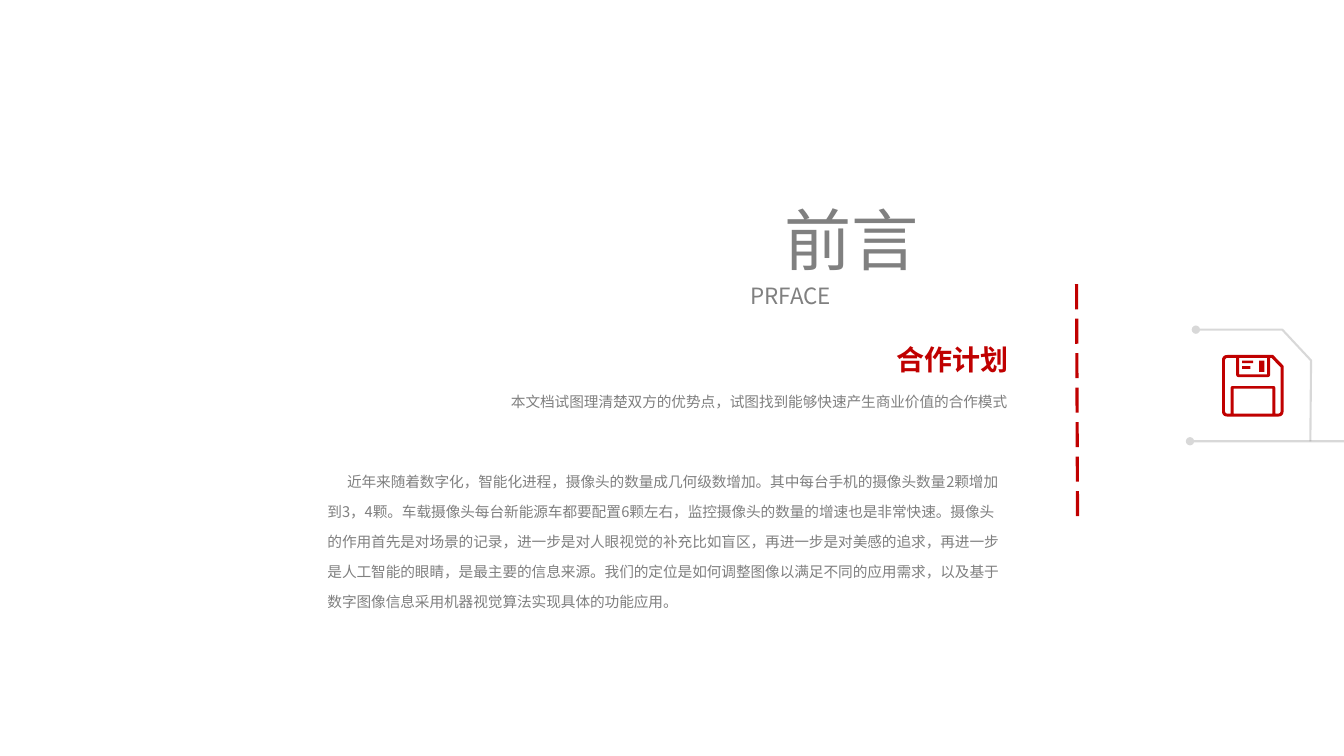
from lxml.etree import SubElement
from pptx import Presentation
from pptx.dml.color import RGBColor
from pptx.enum.dml import MSO_LINE
from pptx.enum.shapes import MSO_CONNECTOR
from pptx.enum.text import MSO_AUTO_SIZE, PP_ALIGN as Align
from pptx.oxml.ns import qn
from pptx.util import Pt

FONT = "Noto Sans CJK SC"
COLORS = {"red": "C00000", "gray": "808080"}

TEXTS = [
    {"text": "本文档试图理清楚双方的优势点，试图找到能够快速产生商业价值的合作模式",
     "at": (257, 273, 470, 24), "size": 10.5, "align": Align.RIGHT, "spacing": 1.3},
    {"text": "合作计划", "at": (633, 229, 94.5, 43), "size": 20, "color": "red",
     "bold": True, "spacing": 1.5, "after": 6, "wrap": False},
    {"text": "近年来随着数字化，智能化进程，摄像头的数量成几何级数增加。"
             "其中每台手机的摄像头数量2颗增加到3，4颗。"
             "车载摄像头每台新能源车都要配置6颗左右，监控摄像头的数量的增速也是非常快速。"
             "摄像头的作用首先是对场景的记录，进一步是对人眼视觉的补充比如盲区，"
             "再进一步是对美感的追求，再进一步是人工智能的眼睛，是最主要的信息来源。"
             "我们的定位是如何调整图像以满足不同的应用需求，"
             "以及基于数字图像信息采用机器视觉算法实现具体的功能应用。",
     "at": (226.8, 325.5, 500.4, 115), "size": 10.5, "spacing": 1.7, "after": 6, "indent": 14},
    {"text": "前言", "at": (553, 138, 174, 65.5), "size": 48, "align": Align.JUSTIFY},
    {"text": "PRFACE", "at": (529, 198, 198, 26.6), "size": 16, "align": Align.JUSTIFY},
]

DIVIDER = [(769, 203), (769.7, 374.4)]
BASELINE = [(850, 315.2), (960, 315.2)]
BRACKET = [(854.2, 235.5), (916, 235.5), (936.5, 257.5), (936, 315.2)]

DISK_ORIGIN = (872.9, 253.6)
DISK_OUTLINES = [
    [(0, 0, 4), (36.5, 0, 0), (44, 7.8, 0), (44, 44, 4), (0, 44, 4)],
    [(2.1, 2.1, 2), (10.1, 2.1, 0), (10.1, 15.8, 2), (34.4, 15.8, 2), (34.4, 2.1, 0),
     (35.4, 2.1, 0), (41.9, 8.8, 0), (41.9, 41.9, 2), (38.1, 41.9, 0), (38.1, 22.2, 1.5),
     (6.2, 22.2, 1.5), (6.2, 41.9, 0), (2.1, 41.9, 2)],
]
DISK_RECTANGLES = [
    (8.3, 24.1, 36, 41.9),
    (12.2, 2.1, 32.3, 13.9),
    (26.6, 4, 30.2, 12.1),
    (14.4, 4, 22.2, 5.9),
    (14.4, 8, 20.2, 10),
]


def color(name):
    return RGBColor.from_string(COLORS[name])


def add_text(page, text, at, size, color_name="gray", bold=False, align=Align.LEFT,
             spacing=1.0, after=0, wrap=True, indent=0):
    frame = page.shapes.add_textbox(*map(Pt, at)).text_frame
    frame.word_wrap = wrap
    frame.auto_size = MSO_AUTO_SIZE.SHAPE_TO_FIT_TEXT
    para = frame.paragraphs[0]
    para.text = text
    para.alignment = align
    para.line_spacing = spacing
    para.space_after = Pt(after)
    para._p.get_or_add_pPr().set("indent", str(Pt(indent)))
    span = para.runs[0]
    span.font.name = FONT
    span.font.size = Pt(size)
    span.font.bold = bold
    span.font.color.rgb = color(color_name)
    SubElement(span._r.get_or_add_rPr(), qn("a:ea"), typeface=FONT)


def style_line(shape, color_name, width, dash=MSO_LINE.SOLID):
    shape.line.color.rgb = color(color_name)
    shape.line.width = Pt(width)
    shape.line.dash_style = dash
    SubElement(shape._element.spPr, qn("a:effectLst"))


def style_circuit(shape):
    style_line(shape, "gray", 1.5)
    outline = shape.line._get_or_add_ln()
    SubElement(outline.find(".//" + qn("a:srgbClr")), qn("a:alpha"), val="30000")
    SubElement(outline, qn("a:headEnd"), type="oval")


def add_line(page, ends):
    return page.shapes.add_connector(MSO_CONNECTOR.STRAIGHT, *(Pt(v) for end in ends for v in end))


def add_freeform(page, contours, origin=(0, 0), close=True):
    placed = [[(Pt(origin[0] + x), Pt(origin[1] + y)) for x, y in contour] for contour in contours]
    builder = page.shapes.build_freeform(*placed[0][0], scale=1.0)
    for number, contour in enumerate(placed):
        if number:
            builder.move_to(*contour[0])
        builder.add_line_segments(contour[1:], close=close)
    return builder.convert_to_shape()


def toward(start, end, distance):
    dx, dy = end[0] - start[0], end[1] - start[1]
    share = distance / (dx * dx + dy * dy) ** 0.5
    return start[0] + dx * share, start[1] + dy * share


def round_corners(corners, steps=5):
    points = []
    for number, corner in enumerate(corners):
        x, y, radius = corner
        if not radius:
            points.append((x, y))
            continue
        enter = toward(corner, corners[number - 1], radius)
        leave = toward(corner, corners[(number + 1) % len(corners)], radius)
        for step in range(steps + 1):
            t = step / steps
            points.append(tuple((1 - t) ** 2 * a + 2 * t * (1 - t) * b + t * t * c
                                for a, b, c in zip(enter, (x, y), leave)))
    return points


def main():
    deck = Presentation()
    deck.slide_width, deck.slide_height = Pt(960), Pt(540)
    page = deck.slides.add_slide(deck.slide_layouts[6])

    for entry in TEXTS:
        options = dict(entry)
        add_text(page, color_name=options.pop("color", "gray"), **options)

    style_line(add_line(page, DIVIDER), "red", 2.25, MSO_LINE.LONG_DASH)

    contours = [round_corners(outline) for outline in DISK_OUTLINES]
    contours += [[(x1, y1), (x2, y1), (x2, y2), (x1, y2)] for x1, y1, x2, y2 in DISK_RECTANGLES]
    disk = add_freeform(page, contours, DISK_ORIGIN)
    disk.shadow.inherit = False
    disk.fill.solid()
    disk.fill.fore_color.rgb = color("red")
    disk.line.fill.background()

    bracket = add_freeform(page, [BRACKET], close=False)
    bracket.fill.background()
    style_circuit(bracket)
    style_circuit(add_line(page, BASELINE))

    deck.save("out.pptx")


if __name__ == "__main__":
    main()
